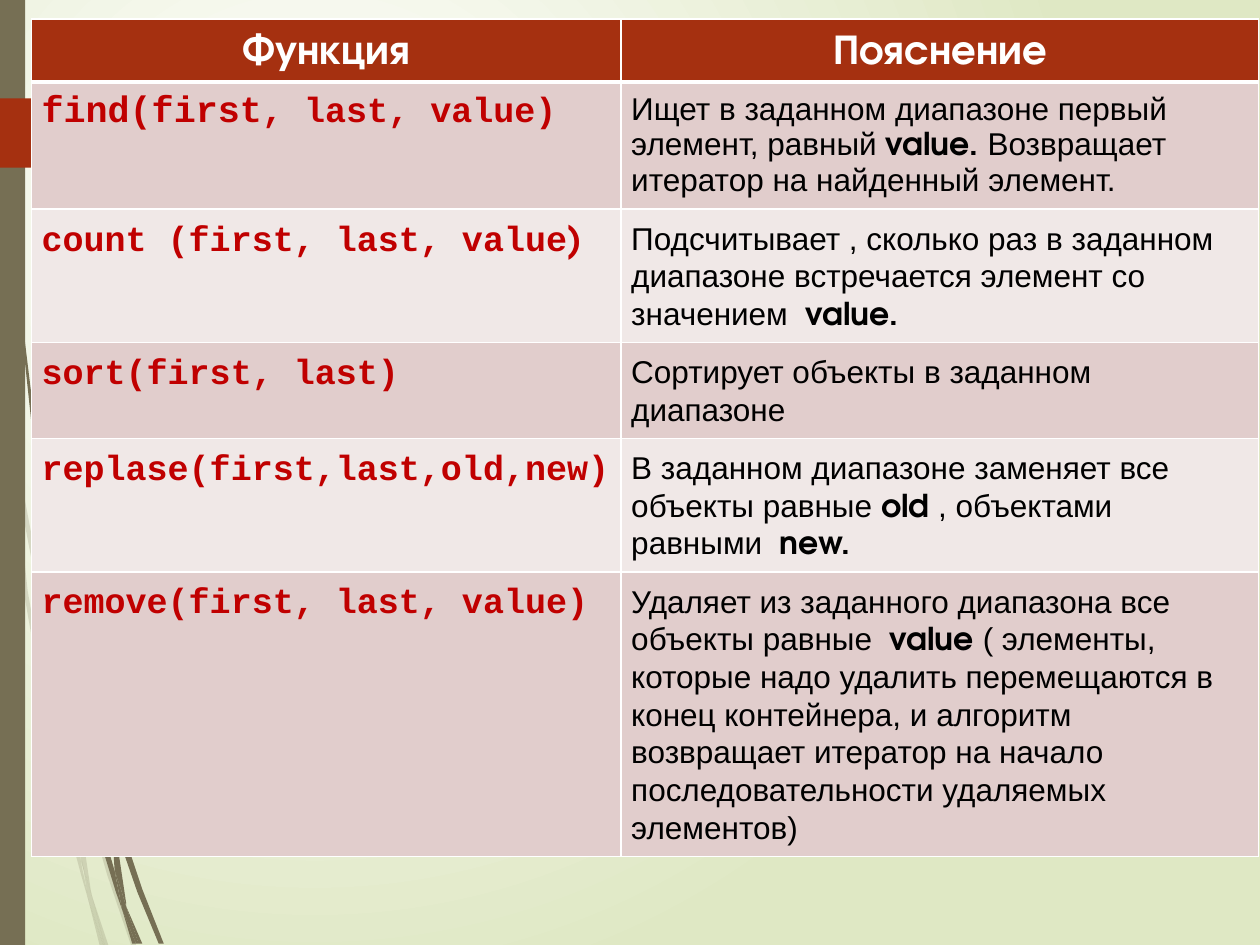
from lxml.etree import SubElement
from pptx import Presentation
from pptx.dml.color import RGBColor
from pptx.enum.shapes import MSO_SHAPE
from pptx.enum.text import MSO_ANCHOR, PP_ALIGN
from pptx.oxml.ns import qn
from pptx.util import Inches, Pt

OLIVE, RUST, RED, WHITE = "766F54", "A53010", "C00000", "FFFFFF"
BANDS = ["E1CDCC", "F0E8E7"]
HEAD, BODY, CODE = "TeX Gyre Adventor", "Arial", "Courier New"

# Outlines of the grass blades, as x,y points in inches
PALE = [
    "0.08,3.5 0.06,3.22 0,2.82 0,2.99 0.07,3.44",
    "0.4,5.22 0.59,5.99 0.59,5.86 0.43,5.2 0.1,3.45 0.12,3.76",
    "0.64,6.07 0.61,5.96 0.61,6.1 0.85,6.94 1.04,7.5 1.08,7.5 0.88,6.92",
    "0.83,7.5 0.86,7.5 0.73,7.11",
    "0.64,6.83 0.48,6.19 0.22,4.69 0.12,3.76 0.08,3.5 0.19,4.7 0.45,6.21 "
    "0.64,6.93 0.7,7.14 0.69,7.07",
    "0.58,5.99 0.6,6.46 0.64,6.83 0.67,6.92 0.73,7.11 0.72,7.06 0.63,6.46 "
    "0.61,6.1 0.61,6.08",
    "0.61,5.84 0.76,4.62 1.11,3.49 1.59,2.45 1.87,1.98 2.01,1.75 2.17,1.54 "
    "2.17,1.53 2.01,1.75 1.86,1.97 1.58,2.44 1.1,3.48 0.75,4.61 0.59,5.84 "
    "0.59,5.86 0.61,5.96",
    "0.7,7.14 0.79,7.5 0.82,7.5",
    "0.61,6.08 0.61,6.1 0.61,5.96 0.59,5.86 0.58,5.99",
    "0.67,6.92 0.65,6.83 0.69,7.07 0.7,7.14 0.82,7.5 0.83,7.5 0.73,7.11",
]
DARK = [
    "0.05,1.1 0.14,2.33 0.27,3.55 0.46,4.77 0.47,4.81 0.45,4.57 0.45,4.53 "
    "0.3,3.55 0.15,2.32 0.06,1.09 0.04,0.48 0.03,0 0.02,0 0.03,0.48",
    "0.73,5.92 0.88,6.45 0.88,6.33 0.88,6.31 0.77,5.9 0.5,4.72 0.53,5.05",
    "0.94,6.49 0.91,6.41 0.91,6.56 1.09,7.08 1.26,7.49 1.3,7.49 1.13,7.06",
    "0.91,6.91 0.81,6.57 0.6,5.56 0.53,5.05 0.47,4.77 0.56,5.57 0.77,6.59 "
    "0.92,7.08 0.97,7.22 0.96,7.17",
    "0.5,4.72 0.48,4.53 0.44,3.49 0.48,2.45 0.52,1.93 0.58,1.41 0.51,1.93 "
    "0.47,2.45 0.43,3.49 0.45,4.49 0.49,4.72",
    "1.1,7.49 1.13,7.49 1,7.19",
    "0.47,4.77 0.53,5.05 0.5,4.72 0.49,4.72 0.45,4.49 0.45,4.53",
    "0.91,6.33 1.03,5.52 1.31,4.76 1.69,4.06 1.91,3.74 2.03,3.59 2.16,3.44 "
    "2.15,3.44 2.03,3.58 1.91,3.73 1.68,4.05 1.29,4.74 1.01,5.51 0.88,6.31 "
    "0.91,6.41",
    "0.97,7.22 1.05,7.49 1.08,7.49",
    "0.88,6.45 0.91,6.91 0.96,7.06 1,7.19 1,7.16 0.91,6.56 0.9,6.51",
    "0.88,6.45 0.9,6.51 0.91,6.56 0.91,6.41 0.88,6.31 0.88,6.33",
    "0.96,7.06 0.91,6.91 0.96,7.17 0.97,7.22 1.08,7.49 1.1,7.49 1,7.19",
]
ARROW = ("1.49,1.07 1.24,1.32 1.21,1.33 0,1.33 0,0.78 1.21,0.78 "
         "1.24,0.79 1.49,1.04")

# Row height, code runs, explanation (bold between asterisks)
ROWS = [
    (1.01, [("find(first", {"size": 21}), (", last, value)", {})],
     "Ищет в заданном диапазоне первый элемент, равный *value. *"
     "Возвращает итератор на найденный элемент."),
    (1.06, [("count (first, last, value", {}), (")", {"font": HEAD})],
     "Подсчитывает , сколько раз в заданном диапазоне встречается элемент "
     "со значением  *value.*"),
    (0.76, [("sort(first, last)", {})],
     "Сортирует объекты в заданном диапазоне"),
    (1.06, [("replase(first,last,old,new)", {})],
     "В заданном диапазоне заменяет все объекты равные *old* , объектами "
     "равными  *new.*"),
    (2.26, [("remove(first, last, value)", {})],
     "Удаляет из заданного диапазона все объекты равные  *value *"
     "( элементы, которые надо удалить перемещаются в конец контейнера, "
     "и алгоритм возвращает итератор на начало последовательности "
     "удаляемых элементов)"),
]


def color(text):
    return RGBColor.from_string(text)


def write(para, text, font=BODY, size=18, tint="000000", bold=False):
    run = para.add_run()
    run.text = text
    run.font.name, run.font.size, run.font.bold = font, Pt(size), bold
    run.font.color.rgb = color(tint)


class Deck:
    """Holds the current slide and its look."""

    def __init__(self):
        self.show = Presentation()
        self.show.slide_width, self.show.slide_height = Inches(10), Inches(7.5)
        self.slide = self.show.slides.add_slide(self.show.slide_layouts[6])

    def back(self, inner, outer):
        """Fill the background with a round gradient."""
        fill = self.slide.background.fill
        fill.gradient()
        for stop, tint, place in zip(fill.gradient_stops, (inner, outer), (0, 1)):
            stop.color.rgb, stop.position = color(tint), place
        grad = self.slide.element.find(".//" + qn("a:gradFill"))
        grad.remove(grad.find(qn("a:lin")))
        ring = SubElement(grad, qn("a:path"), {"path": "circle"})
        SubElement(ring, qn("a:fillToRect"),
                   dict(l="50000", t="50000", r="100000", b="100000"))

    def paint(self, shape, tint, alpha=None):
        shape.shadow.inherit = False
        shape.fill.solid()
        shape.fill.fore_color.rgb = color(tint)
        shape.line.fill.background()
        if alpha:
            rgb = shape.fill._xPr.find(".//" + qn("a:srgbClr"))
            SubElement(rgb, qn("a:alpha"), val=str(alpha * 1000))

    def box(self, left, top, width, height, tint):
        spot = map(Inches, (left, top, width, height))
        self.paint(self.slide.shapes.add_shape(MSO_SHAPE.RECTANGLE, *spot), tint)

    def blade(self, outline, tint, alpha=None):
        dots = [tuple(Inches(float(n)) for n in dot.split(","))
                for dot in outline.split()]
        form = self.slide.shapes.build_freeform(*dots[0], scale=1.0)
        form.add_line_segments(dots[1:], close=True)
        self.paint(form.convert_to_shape(), tint, alpha)

    def table(self, left, top, cols, rows):
        frame = self.slide.shapes.add_table(
            len(rows), len(cols), Inches(left), Inches(top),
            Inches(sum(cols)), Inches(sum(rows)))
        grid = frame.table
        for col, width in zip(grid.columns, cols):
            col.width = Inches(width)
        for row, height in zip(grid.rows, rows):
            row.height = Inches(height)
        return grid

    def cell(self, cell, fill, above=1, below=1, space=1.07):
        """Style a cell and return its paragraph."""
        cell.fill.solid()
        cell.fill.fore_color.rgb = color(fill)
        cell.margin_left = cell.margin_right = Inches(0.08)
        cell.margin_top = cell.margin_bottom = Inches(0.08)
        props = cell._tc.get_or_add_tcPr()
        sides = zip("LRTB", (1, 1, above, below))
        for spot, (side, width) in enumerate(sides):
            edge = SubElement(props, qn("a:ln" + side), w=str(Pt(width)))
            SubElement(SubElement(edge, qn("a:solidFill")),
                       qn("a:srgbClr"), val=WHITE)
            props.insert(spot, edge)
        para = cell.text_frame.paragraphs[0]
        para.line_spacing = space
        return para


def main():
    deck = Deck()
    deck.back(WHITE, "DFE8C4")
    for outline in PALE:
        deck.blade(outline, OLIVE, 20)
    for outline in DARK:
        deck.blade(outline, OLIVE)
    deck.box(0, 0, 0.2, 7.5, OLIVE)
    deck.blade(ARROW, RUST)

    grid = deck.table(0.25, 0.15, [4.68, 5.06], [0.5] + [row[0] for row in ROWS])
    for col, title in enumerate(["Функция", "Пояснение"]):
        cell = grid.cell(0, col)
        cell.vertical_anchor = MSO_ANCHOR.BOTTOM
        para = deck.cell(cell, RUST, below=3)
        para.alignment = PP_ALIGN.CENTER
        write(para, title, font=HEAD, size=24, tint=WHITE, bold=True)
    for num, (_, code, note) in enumerate(ROWS, 1):
        look = {"fill": BANDS[(num - 1) % 2]}
        if num == 1:
            look.update(above=3, space=1.0)
        para = deck.cell(grid.cell(num, 0), **look)
        for text, style in code:
            write(para, text, **{"font": CODE, "size": 20, "tint": RED,
                                 "bold": True, **style})
        para = deck.cell(grid.cell(num, 1), **look)
        for part, text in enumerate(note.split("*")):
            if text:
                bold = part % 2 == 1
                write(para, text, font=HEAD if bold else BODY, bold=bold)
    deck.show.save("out.pptx")


if __name__ == "__main__":
    main()
